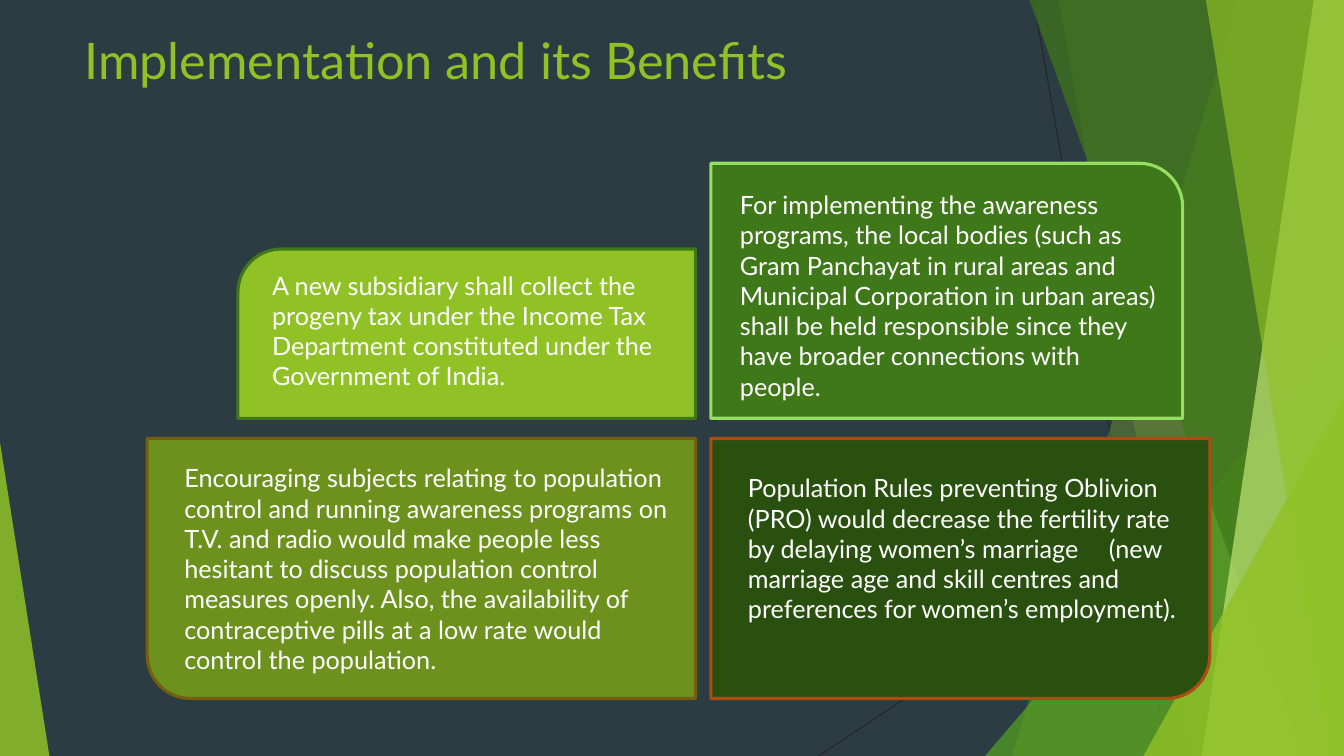
import pptx
import pptx.util
import pptx.dml.color
import pptx.enum.shapes
import pptx.enum.text
import pptx.oxml.ns
from lxml import etree

Inches = pptx.util.Inches
Pt = pptx.util.Pt
SHAPE = pptx.enum.shapes.MSO_SHAPE
W, H = 13.33, 7.5
FONT = "Lato"
RADIUS = 0.43

COLORS = {
    "back": "2C3C43", "hairline": "262626", "lime": "90C226", "grass": "54A021",
    "forest": "3F7819", "pale": "C0E474", "mint": "94DE61", "olive": "6C921D",
    "bronze": "755E0D", "moss": "2A5010", "rust": "AD4C12", "white": "FFFFFF",
}

TITLE = "Implementation\u00a0and its Benefits"

HAIRLINES = [(10.25, 0, 11.58, 7.5), (13.33, 4.03, 8.12, 7.5)]

# Facets from back to front. Bands: left edge at top and at bottom.
# Triangles: left, top, width, apex position.
FACETS = [
    ("band", (12.28, 10.04), "lime", 30),
    ("band", (10.5, 11.83), "lime", 20),
    ("triangle", (9.77, 3.33, 3.56, 1), "grass", 72),
    ("band", (10.21, 12.91), "forest", 70),
    ("band", (13.03, 11.92), "pale", 70),
    ("band", (11.96, 13.18), "lime", 65),
    ("triangle", (11.34, 3.93, 1.99, 1), "lime", 80),
    ("triangle", (0, 4.39, 0.49, 0), "lime", 85),
]

CARDS = [
    {"box": (2.36, 2.47, 4.54, 1.68), "flip": "H", "fill": "lime", "line": "forest",
     "text_box": (2.6, 2.63, 4.21, 1.63),
     "text": "A new subsidiary shall collect the progeny tax under the Income Tax "
             "Department constituted under the Government of India."},
    {"box": (7.05, 1.62, 4.68, 2.53), "flip": "", "fill": "forest", "line": "mint",
     "text_box": (7.24, 1.83, 4.39, 2.52),
     "text": "For implementing the awareness programs, the local bodies (such\u00a0as Gram "
             "Panchayat in rural areas and Municipal Corporation\u00a0in\u00a0urban areas) shall "
             "be held responsible since they have broader connections with people."},
    {"box": (1.46, 4.35, 5.44, 2.58), "flip": "HV", "fill": "olive", "line": "bronze",
     "text_box": (1.73, 4.54, 5.08, 2.52),
     "text": "Encouraging subjects relating to population control and running awareness "
             "programs on T.V.\u00a0and radio would make people less hesitant to discuss "
             "population control measures openly. Also, the availability of contraceptive "
             "pills at a low rate would control the population."},
    {"box": (7.05, 4.35, 4.95, 2.58), "flip": "V", "fill": "moss", "line": "rust",
     "text_box": (7.32, 4.64, 4.56, 2.22), "tab": 3.58,
     "text": "Population Rules preventing Oblivion (PRO) would decrease the fertility rate by "
             "delaying women\u2019s marriage\t(new marriage age and skill centres and "
             "preferences for women\u2019s employment)."},
]


def rgb(name):
    """Return the named colour."""
    return pptx.dml.color.RGBColor.from_string(COLORS[name])


def add_child(parent, tag, **attributes):
    """Append a DrawingML element with the given attributes."""
    child = etree.SubElement(parent, pptx.oxml.ns.qn(tag))
    for key, value in attributes.items():
        child.set(key, str(value))
    return child


def paint(sp, fill, alpha=100, line=None):
    """Set fill, opacity in percent and outline, without a shadow."""
    sp.shadow.inherit = False
    sp.fill.solid()
    sp.fill.fore_color.rgb = rgb(fill)
    if alpha < 100:
        color = sp.fill._xPr.find(".//" + pptx.oxml.ns.qn("a:srgbClr"))
        add_child(color, "a:alpha", val=alpha * 1000)
    if line:
        sp.line.color.rgb = rgb(line)
        sp.line.width = Pt(2.25)
    else:
        sp.line.fill.background()


def add_text(shapes, box, text, size=18, color="white", tab=None):
    """Add a wrapped text box, with an optional tab stop in inches."""
    tf = shapes.add_textbox(*map(Inches, box)).text_frame
    tf.word_wrap = True
    tf.vertical_anchor = pptx.enum.text.MSO_ANCHOR.TOP
    p = tf.paragraphs[0]
    r = p.add_run()
    r.text = text
    r.font.name = FONT
    r.font.size = Pt(size)
    r.font.color.rgb = rgb(color)
    if tab:
        stops = add_child(p._p.get_or_add_pPr(), "a:tabLst")
        add_child(stops, "a:tab", pos=Inches(tab), algn="l")


def add_hairline(shapes, ends):
    """Add a thin straight background line."""
    sp = shapes.add_connector(pptx.enum.shapes.MSO_CONNECTOR.STRAIGHT, *map(Inches, ends))
    sp.line.color.rgb = rgb("hairline")
    sp.line.width = Pt(0.75)
    add_child(sp._element.spPr, "a:effectLst")


def add_band(shapes, top_x, bottom_x):
    """Add a full-height band that reaches the right slide edge."""
    points = [(W, 0), (W, H), (bottom_x, H)]
    builder = shapes.build_freeform(Inches(top_x), 0, scale=1.0)
    builder.add_line_segments([(Inches(x), Inches(y)) for x, y in points], close=True)
    return builder.convert_to_shape()


def add_triangle(shapes, left, top, width, apex):
    """Add a triangle that stands on the bottom slide edge."""
    sp = shapes.add_shape(SHAPE.ISOSCELES_TRIANGLE, *map(Inches, (left, top, width, H - top)))
    sp.adjustments[0] = apex
    return sp


def add_card(shapes, card):
    """Add a panel with one rounded outer corner, and its text."""
    sp = shapes.add_shape(SHAPE.ROUND_1_RECTANGLE, *map(Inches, card["box"]))
    sp.adjustments[0] = RADIUS / min(card["box"][2:])
    for axis in card["flip"]:
        sp._element.spPr.xfrm.set("flip" + axis, "1")
    paint(sp, card["fill"], line=card["line"])
    add_text(shapes, card["text_box"], card["text"], tab=card.get("tab"))


prs = pptx.Presentation()
prs.slide_width, prs.slide_height = Inches(W), Inches(H)
s = prs.slides.add_slide(prs.slide_layouts[6])
s.background.fill.solid()
s.background.fill.fore_color.rgb = rgb("back")

for ends in HAIRLINES:
    add_hairline(s.shapes, ends)
builders = {"band": add_band, "triangle": add_triangle}
for kind, place, fill, alpha in FACETS:
    paint(builders[kind](s.shapes, *place), fill, alpha)
add_text(s.shapes, (0.74, 0.24, 9.4, 0.9), TITLE, size=36, color="lime")
for card in CARDS:
    add_card(s.shapes, card)

prs.save("out.pptx")
